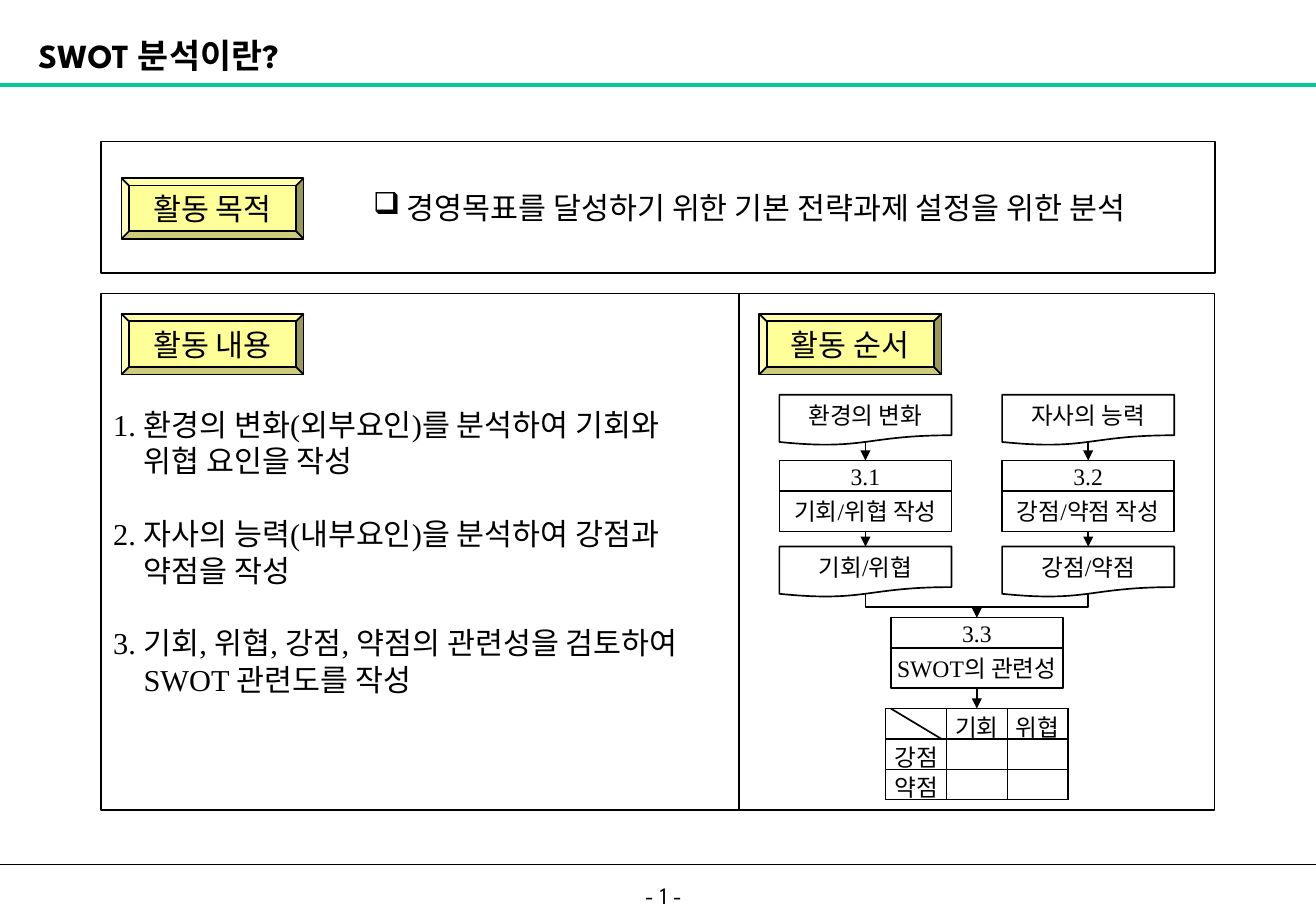
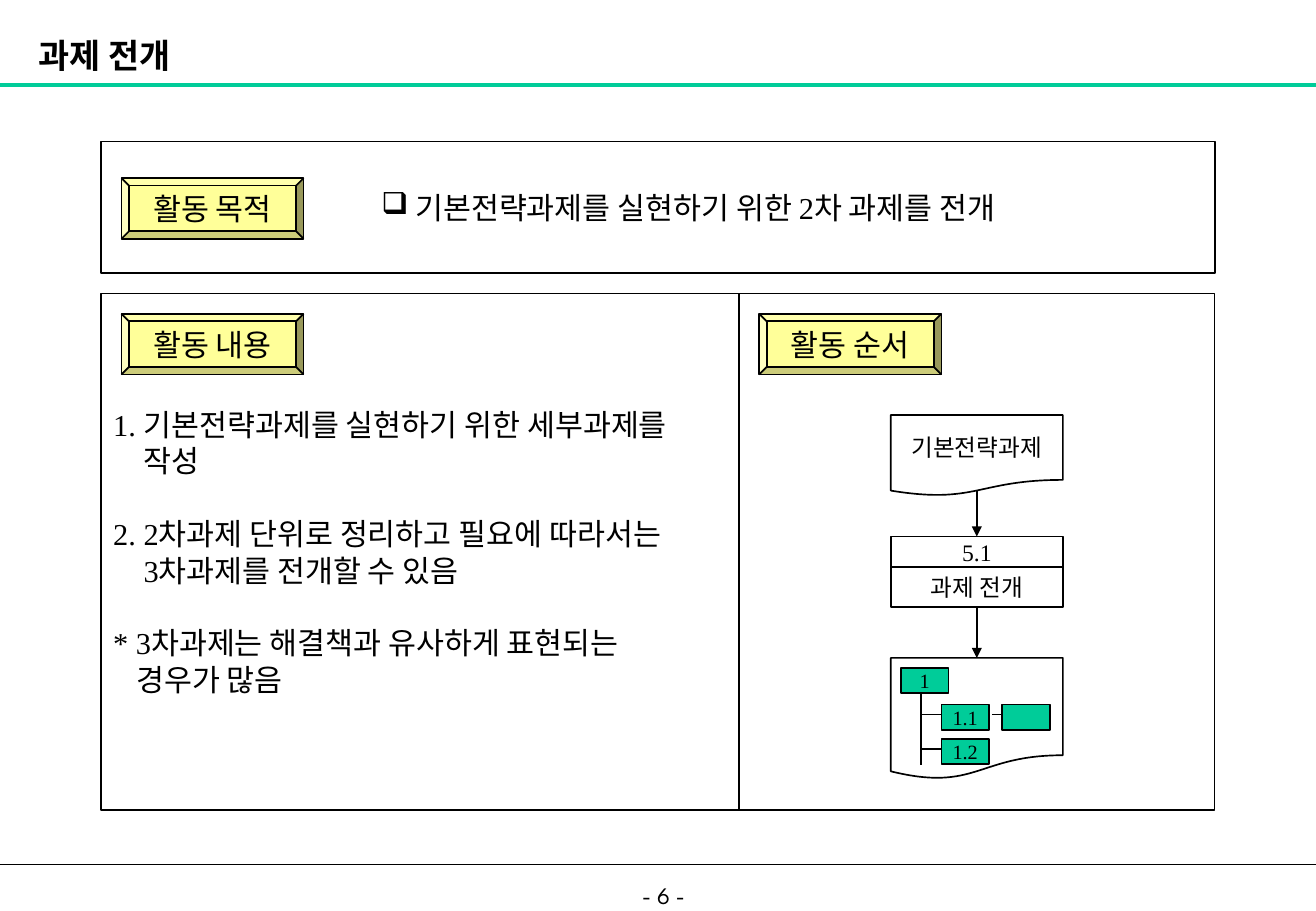
from collections import namedtuple
from lxml.etree import SubElement
from pptx import Presentation
from pptx.dml.color import RGBColor
from pptx.enum.shapes import MSO_CONNECTOR as Link, MSO_SHAPE as Preset
from pptx.enum.text import MSO_ANCHOR as Anchor, PP_ALIGN as Align
from pptx.oxml.ns import qn
from pptx.util import Inches, Pt

COLORS = {"ink": "000000", "paper": "FFFFFF", "badge": "FFFF99", "accent": "00CC99"}
HEAD_FONT, BODY_FONT = "League Spartan", "Times New Roman"
COLUMNS, ROWS = 130, 90
STEP_WIDTH, NUMBER_ROWS, LABEL_ROWS = 17, 3, 4
WAVE = 0.94

Box = namedtuple("Box", "left top width height")


def grid(*cells):
    """Turn grid cells, twelve to the inch, into lengths."""
    return [Inches(cell / 12) for cell in cells]


def inside(box, left, top, width, height):
    """Return a box placed relative to the corner of another."""
    return Box(box.left + left, box.top + top, width, height)


def rgb(name):
    """Look up a named colour."""
    return RGBColor.from_string(COLORS[name])


def style_text(frame, size, font=BODY_FONT, align=Align.CENTER, bold=False):
    """Format every run of a text frame."""
    frame.vertical_anchor = Anchor.MIDDLE
    for para in frame.paragraphs:
        para.alignment = align
        for span in para.runs:
            span.font.size, span.font.name, span.font.bold = Pt(size), font, bold
            span.font.color.rgb = rgb("ink")


def add_box(page, box, text="", size=14, fill="paper", preset=Preset.RECTANGLE):
    """Add an outlined shape with centred text."""
    shape = page.shapes.add_shape(preset, *grid(*box))
    shape.shadow.inherit = False
    shape.fill.solid()
    shape.fill.fore_color.rgb = rgb(fill)
    shape.line.color.rgb = rgb("ink")
    shape.line.width = Pt(1)
    shape.text_frame.word_wrap = False
    shape.text_frame.text = text
    style_text(shape.text_frame, size)
    return shape


def add_label(page, box, text, size, align, wrap, bold=False):
    """Add a heading-font text box."""
    frame = page.shapes.add_textbox(*grid(*box)).text_frame
    frame.word_wrap = wrap
    frame.text = text
    style_text(frame, size, HEAD_FONT, align, bold)


def add_line(page, start, end, color="ink", width=1, arrow=False, kind=Link.STRAIGHT):
    """Add a line without shadow, with an arrowhead if asked."""
    line = page.shapes.add_connector(kind, *grid(*start, *end))
    line.line.color.rgb = rgb(color)
    line.line.width = Pt(width)
    if arrow:
        SubElement(line.line._ln, qn("a:tailEnd"), type="triangle")
    SubElement(line._element.spPr, qn("a:effectLst"))
    return line


def add_arrow(page, start, end, source=None, target=None):
    """Add a straight arrow, joined to the shapes it touches."""
    line = add_line(page, start, end, arrow=True)
    if source is not None:
        line.begin_connect(source, 2)
    if target is not None:
        line.end_connect(target, 0)


def add_elbow(page, start, end):
    """Add an arrow that goes down, across and down."""
    (x1, y1), (x2, y2) = start, end
    middle_x, middle_y = (x1 + x2) / 2, (y1 + y2) / 2
    rightward = x2 > x1
    half_width, half_height = (y2 - y1) / 2, abs(x2 - x1) / 2
    turn = -1 if rightward else 1
    line = add_line(page, (middle_x + -turn * -half_width * -1 if rightward is None
                           else middle_x - turn * half_width, middle_y - half_height),
                    (middle_x + turn * half_width, middle_y + half_height),
                    arrow=True, kind=Link.ELBOW)
    line._element.spPr.find(qn("a:xfrm")).set("rot", str((270 if rightward else 90) * 60000))
    values = line._element.spPr.find(qn("a:prstGeom")).find(qn("a:avLst"))
    SubElement(values, qn("a:gd"), name="adj1", fmla="val 56000")


def add_document(page, box, text=""):
    """Add a document shape and return it with its bottom and top points."""
    shape = add_box(page, box, text, preset=Preset.FLOWCHART_DOCUMENT)
    middle = box.left + box.width / 2
    return shape, (middle, box.top), (middle, box.top + box.height * WAVE)


def add_step(page, panel, left, top, number, text):
    """Add a numbered step and return its two halves and end points."""
    head_box = inside(panel, left, top, STEP_WIDTH, NUMBER_ROWS)
    body_box = inside(head_box, 0, NUMBER_ROWS, STEP_WIDTH, LABEL_ROWS)
    head, body = add_box(page, head_box, number), add_box(page, body_box, text)
    middle = head_box.left + STEP_WIDTH / 2
    return head, body, (middle, head_box.top), (middle, body_box.top + LABEL_ROWS)


def add_badge(page, panel, text, top=2):
    """Add the bevelled caption of a panel."""
    add_box(page, inside(panel, 2, top, 18, 6), text, 18, "badge", Preset.BEVEL)


def add_frame(page, title, number):
    """Add the title, rules and page number."""
    add_line(page, (0, 85.4), (COLUMNS, 85.4))
    add_line(page, (0, 8.4), (COLUMNS, 8.4), "accent", 2.25)
    add_label(page, Box(52, 85.4, 27.1, 6), f"- {number} -", 14, Align.CENTER, False)
    add_label(page, Box(2.6, 2.9, 70.2, 5), title, 20, Align.LEFT, True, True)


def add_purpose(page, box, text, indent):
    """Add the purpose panel with its bulleted sentence."""
    shape = add_box(page, box, text, 18)
    props = shape.text_frame.paragraphs[0]._p.get_or_add_pPr()
    props.set("marL", str(Inches(indent)))
    props.set("indent", "0")
    SubElement(props, qn("a:buChar"), char="❑")
    add_badge(page, box, "활동 목적", 3.6)


def add_content(page, box, items):
    """Add the content panel with hanging two-line items."""
    frame = add_box(page, box).text_frame
    frame.word_wrap, frame.margin_right = True, 0
    frame.text = "\n".join(text for text, _ in items)
    style_text(frame, 18, align=Align.LEFT)
    for index, (para, (_, hang)) in enumerate(zip(frame.paragraphs, items)):
        para.space_before = Pt(21.6 if index else 0)
        props = para._p.get_or_add_pPr()
        props.set("marL", str(Inches(hang)))
        props.set("indent", str(-Inches(hang)))
    add_badge(page, box, "활동 내용")


def add_matrix(page, box, rows):
    """Add the relation table with a crossed corner cell."""
    table_shape = page.shapes.add_table(len(rows), len(rows[0]), *grid(*box))
    table = table_shape.table
    table.first_row = table.horz_banding = False
    for row, texts in zip(table.rows, rows):
        row.height = grid(box.height / len(rows))[0]
        for cell, text in zip(row.cells, texts):
            cell.margin_left = cell.margin_right = cell.margin_top = cell.margin_bottom = 0
            cell.vertical_anchor = Anchor.MIDDLE
            cell.text = text
            style_text(cell.text_frame, 14)
            if not text:
                SubElement(cell.text_frame.paragraphs[0]._p, qn("a:endParaRPr"), sz="1400")
            props = cell._tc.get_or_add_tcPr()
            for side in ("lnL", "lnR", "lnT", "lnB"):
                edge = SubElement(props, qn(f"a:{side}"), w=str(Pt(1)))
                paint = SubElement(edge, qn("a:solidFill"))
                SubElement(paint, qn("a:srgbClr"), val=COLORS["ink"])
            cell.fill.solid()
            cell.fill.fore_color.rgb = rgb("paper")
    add_line(page, (box.left + 0.5, box.top), (box.left + 5.5, box.top + 3))


def add_swot_flow(page, panel):
    """Add the two branches that meet in the relation matrix."""
    ends = []
    for left, source, number, task, result in (
            (4, "환경의 변화", "3.1", "기회/위협 작성", "기회/위협"),
            (26, "자사의 능력", "3.2", "강점/약점 작성", "강점/약점")):
        _, _, source_end = add_document(page, inside(panel, left, 10, STEP_WIDTH, 5), source)
        head, body, step_top, step_end = add_step(page, panel, left, 16.5, number, task)
        paper, paper_top, paper_end = add_document(
            page, inside(panel, left, 25, STEP_WIDTH, 5), result)
        add_arrow(page, source_end, step_top, target=head)
        add_arrow(page, step_end, paper_top, body, paper)
        ends.append(paper_end)
    _, body, step_top, step_end = add_step(page, panel, 15, 32, "3.3", "SWOT의 관련성")
    for end in ends:
        add_elbow(page, end, step_top)
    matrix = inside(panel, 14.5, 41, 18, 9)
    add_matrix(page, matrix, [("", "기회", "위협"), ("강점", "", ""), ("약점", "", "")])
    add_arrow(page, step_end, (step_end[0], matrix.top), body)


def add_tree(page, box):
    """Add the small task tree inside a document."""
    for left, top, text in ((1, 1, "1"), (5, 4.6, "1.1"), (11, 4.6, ""), (5, 8, "1.2")):
        add_box(page, inside(box, left, top, 4.7, 2.5), text, 12, "accent")
    for x1, y1, x2, y2 in ((3, 3.5, 3, 10.6), (3, 5.6, 5, 5.6), (3, 9, 5, 9), (10, 5.6, 11, 5.6)):
        add_line(page, (box.left + x1, box.top + y1), (box.left + x2, box.top + y2))


def add_task_flow(page, panel):
    """Add the single chain that ends in the task tree."""
    _, _, source_end = add_document(page, inside(panel, 15, 12, STEP_WIDTH, 8), "기본전략과제")
    head, body, step_top, step_end = add_step(page, panel, 15, 24, "5.1", "과제 전개")
    tree_box = inside(panel, 15, 36, STEP_WIDTH, 12)
    tree, tree_top, _ = add_document(page, tree_box)
    add_arrow(page, source_end, step_top, target=head)
    add_arrow(page, step_end, tree_top, body, tree)
    add_tree(page, tree_box)


def add_activity_slide(deck, title, number, purpose, indent, items, add_flow):
    """Add a slide of purpose, content and order panels."""
    page = deck.slides.add_slide(deck.slide_layouts[6])
    add_frame(page, title, number)
    add_purpose(page, Box(10, 14, 110, 13), purpose, indent)
    add_content(page, Box(10, 29, 63, 51), items)
    order = Box(73, 29, 47, 51)
    add_box(page, order)
    add_badge(page, order, "활동 순서")
    add_flow(page, order)


def main():
    """Build and save the deck."""
    deck = Presentation()
    deck.slide_width, deck.slide_height = grid(COLUMNS, ROWS)
    add_activity_slide(
        deck, "SWOT 분석이란?", 1,
        " 경영목표를 달성하기 위한 기본 전략과제 설정을 위한 분석", 1.5,
        [("1. 환경의 변화(외부요인)를 분석하여 기회와\v위협 요인을 작성", 0.25),
         ("2. 자사의 능력(내부요인)을 분석하여 강점과\v약점을 작성", 0.25),
         ("3. 기회, 위협, 강점, 약점의 관련성을 검토하여\vSWOT 관련도를 작성", 0.25)],
        add_swot_flow)
    add_activity_slide(
        deck, "과제 전개", 6,
        " 기본전략과제를 실현하기 위한 2차 과제를 전개", 0.5,
        [("1. 기본전략과제를 실현하기 위한 세부과제를\v작성", 0.25),
         ("2. 2차과제 단위로 정리하고 필요에 따라서는\v3차과제를 전개할 수 있음", 0.25),
         ("* 3차과제는 해결책과 유사하게 표현되는\v경우가 많음", 0.19)],
        add_task_flow)
    deck.save("out.pptx")


if __name__ == "__main__":
    main()
